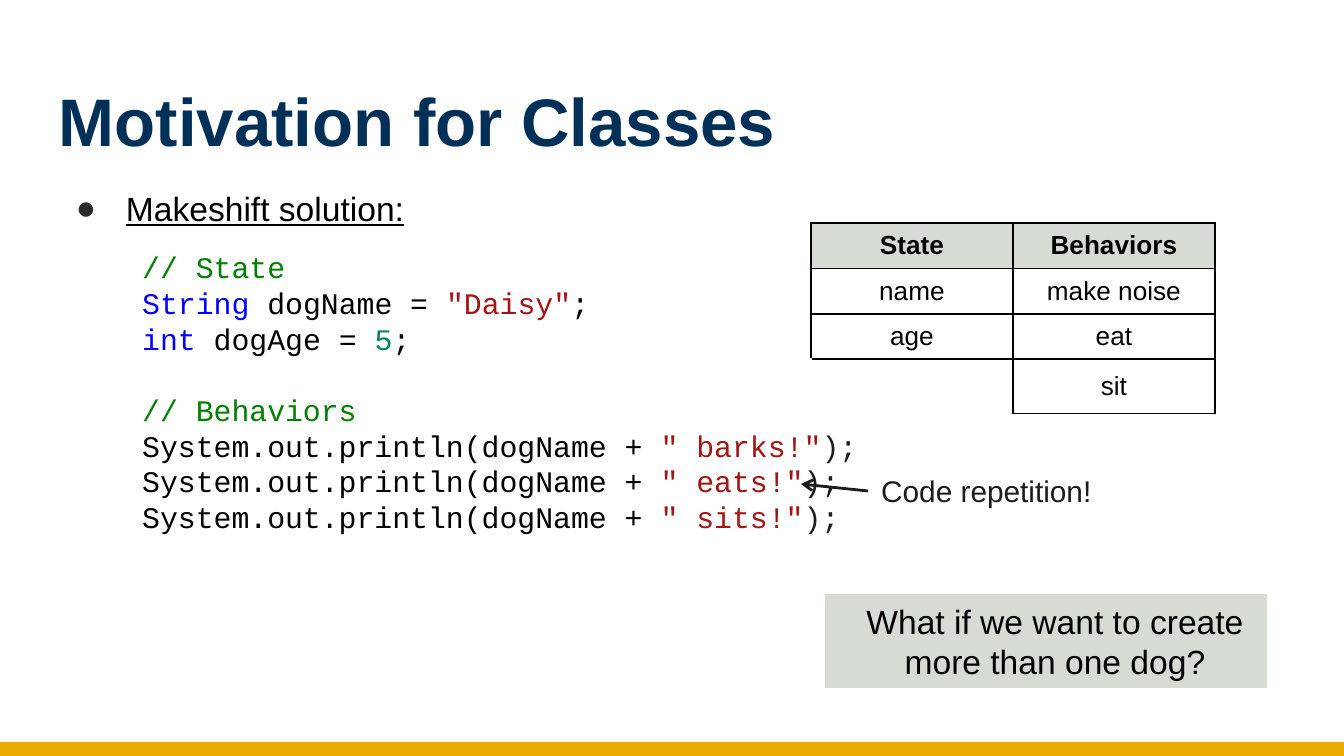
from lxml.etree import SubElement
from pptx import Presentation
from pptx.dml.color import RGBColor
from pptx.enum.shapes import MSO_CONNECTOR, MSO_SHAPE
from pptx.enum.text import MSO_ANCHOR, MSO_AUTO_SIZE, PP_ALIGN
from pptx.oxml.ns import qn
from pptx.util import Emu, Pt

PX_PER_INCH = 134.4
BLACK = RGBColor(0x00, 0x00, 0x00)
WHITE = RGBColor(0xFF, 0xFF, 0xFF)
NAVY = RGBColor(0x00, 0x30, 0x57)
GOLD = RGBColor(0xEA, 0xAA, 0x00)
SAGE = RGBColor(0xD6, 0xDB, 0xD4)
CHARCOAL = RGBColor(0x1C, 0x1C, 0x1C)
BULLET_GREY = RGBColor(0x29, 0x29, 0x29)
COMMENT = RGBColor(0x00, 0x80, 0x00)
KEYWORD = RGBColor(0x00, 0x00, 0xFF)
STRING = RGBColor(0xA3, 0x15, 0x15)
NUMBER = RGBColor(0x09, 0x86, 0x58)

TABLE_ROWS = [("State", "Behaviors"), ("name", "make noise"), ("age", "eat"), ("", "sit")]
ROW_HEIGHTS = [45, 45, 45, 54]
STATE_CODE = [
    [("// State", COMMENT)],
    [("String", KEYWORD), (" dogName = ", BLACK), ('"Daisy"', STRING), (";", BLACK)],
    [("int", KEYWORD), (" dogAge = ", BLACK), ("5", NUMBER), (";", BLACK)],
]
BEHAVIOR_CODE = [[("// Behaviors", COMMENT)]] + [
    [("System.out.println(dogName + ", BLACK), (f'" {action}!"', STRING), (");", CHARCOAL)]
    for action in ("barks", "eats", "sits")
]


def px(length):
    return Emu(round(length * 914400 / PX_PER_INCH))


def add_run(paragraph, text, size=18, color=BLACK, font="Arial", bold=False, underline=False):
    run = paragraph.add_run()
    run.text = text
    run.font.name = font
    run.font.size = Pt(size)
    run.font.color.rgb = color
    run.font.bold = bold
    run.font.underline = underline


def set_margins(frame, horizontal, vertical):
    frame.margin_left = frame.margin_right = px(horizontal)
    frame.margin_top = frame.margin_bottom = px(vertical)


def fill_placeholder(placeholder, box, text, **text_format):
    """Move a placeholder, put one left-aligned line in it and return its paragraph."""
    placeholder.left, placeholder.top, placeholder.width, placeholder.height = map(px, box)
    frame = placeholder.text_frame
    frame.auto_size = MSO_AUTO_SIZE.NONE
    frame.vertical_anchor = MSO_ANCHOR.TOP
    set_margins(frame, 13, 13)
    paragraph = frame.paragraphs[0]
    paragraph.alignment = PP_ALIGN.LEFT
    paragraph.space_before = Pt(0)
    add_run(paragraph, text, **text_format)
    return paragraph


def set_bullet(paragraph, character, color, margin, indent):
    properties = paragraph._p.get_or_add_pPr()
    properties.set("marL", str(px(margin)))
    properties.set("indent", str(px(indent)))
    bullet_color = SubElement(properties, qn("a:buClr"))
    SubElement(bullet_color, qn("a:srgbClr"), val=str(color))
    SubElement(properties, qn("a:buFont"), typeface="Arial")
    SubElement(properties, qn("a:buChar"), char=character)


def add_rectangle(slide, box, color):
    shape = slide.shapes.add_shape(MSO_SHAPE.RECTANGLE, *map(px, box))
    shape.shadow.inherit = False
    shape.fill.solid()
    shape.fill.fore_color.rgb = color
    shape.line.fill.background()
    return shape


def add_text_box(slide, box):
    text_box = slide.shapes.add_textbox(*map(px, box))
    text_box.text_frame.word_wrap = True
    return text_box


def add_code(slide, box, blocks):
    """Write blocks of coloured code lines, one line of space between blocks."""
    frame = add_text_box(slide, box).text_frame
    paragraph = frame.paragraphs[0]
    for block_index, block in enumerate(blocks):
        for line_index, line in enumerate(block):
            if block_index or line_index:
                paragraph = frame.add_paragraph()
            if block_index and not line_index:
                paragraph.space_before = Pt(19)
            for text, color in line:
                add_run(paragraph, text, size=16, color=color, font="Courier New")


def set_borders(cell, **colors):
    """Draw the four cell borders, black unless a side is given a colour."""
    properties = cell._tc.get_or_add_tcPr()
    for position, side in enumerate("LRTB"):
        line = properties.makeelement(qn(f"a:ln{side}"), {"w": str(Pt(0.96))})
        properties.insert(position, line)
        fill = SubElement(line, qn("a:solidFill"))
        SubElement(fill, qn("a:srgbClr"), val=str(colors.get(side, BLACK)))


def add_dog_table(slide, left, top, column_width):
    box = (left, top, 2 * column_width, sum(ROW_HEIGHTS))
    table = slide.shapes.add_table(len(TABLE_ROWS), 2, *map(px, box)).table
    table.first_row = table.horz_banding = False
    for row_index, texts in enumerate(TABLE_ROWS):
        table.rows[row_index].height = px(ROW_HEIGHTS[row_index])
        is_header = row_index == 0
        for column_index, text in enumerate(texts):
            cell = table.cell(row_index, column_index)
            set_margins(cell, 7, 7)
            cell.vertical_anchor = MSO_ANCHOR.MIDDLE
            if is_header:
                cell.fill.solid()
                cell.fill.fore_color.rgb = SAGE
            else:
                cell.fill.background()
            if text:
                paragraph = cell.text_frame.paragraphs[0]
                paragraph.alignment = PP_ALIGN.CENTER
                add_run(paragraph, text, size=14, bold=is_header)
                set_borders(cell)
            else:
                set_borders(cell, L=WHITE, B=WHITE)


def add_question(slide, box, text):
    frame = add_rectangle(slide, box, SAGE).text_frame
    frame.word_wrap = True
    frame.vertical_anchor = MSO_ANCHOR.TOP
    paragraph = frame.paragraphs[0]
    paragraph.alignment = PP_ALIGN.CENTER
    paragraph._p.get_or_add_pPr().set("marL", str(px(18)))
    add_run(paragraph, text)


def add_arrow_from(slide, label, end):
    """Draw an arrow from the middle of the label's left side."""
    x, y = map(px, end)
    arrow = slide.shapes.add_connector(MSO_CONNECTOR.STRAIGHT, x, y, x, y)
    arrow.begin_connect(label, 1)
    arrow.line.color.rgb = CHARCOAL
    arrow.line.width = Pt(1.5)
    SubElement(arrow.line._get_or_add_ln(), qn("a:tailEnd"), type="arrow")
    SubElement(arrow._element.spPr, qn("a:effectLst"))


def main():
    presentation = Presentation()
    presentation.slide_width, presentation.slide_height = px(1344), px(756)
    slide = presentation.slides.add_slide(presentation.slide_layouts[1])
    title, body = slide.placeholders

    add_rectangle(slide, (0, 742, 1344, 14), GOLD)
    fill_placeholder(title, (46, 66, 1253, 103), "Motivation for Classes",
                     size=36, color=NAVY, bold=True)
    item = fill_placeholder(body, (46, 169, 1279, 548), "Makeshift solution:", underline=True)
    item.line_spacing = 1.15
    set_bullet(item, "●", BULLET_GREY, margin=67, indent=-50)

    add_code(slide, (129, 242, 778, 300), [STATE_CODE, BEHAVIOR_CODE])
    add_dog_table(slide, 811, 223, 202)
    add_question(slide, (825, 594, 442, 94), "What if we want to create more than one dog?")
    label = add_text_box(slide, (868, 466, 284, 50))
    add_run(label.text_frame.paragraphs[0], "Code repetition!", size=16, color=CHARCOAL)
    add_arrow_from(slide, label, (801, 484))

    presentation.save("out.pptx")


if __name__ == "__main__":
    main()
